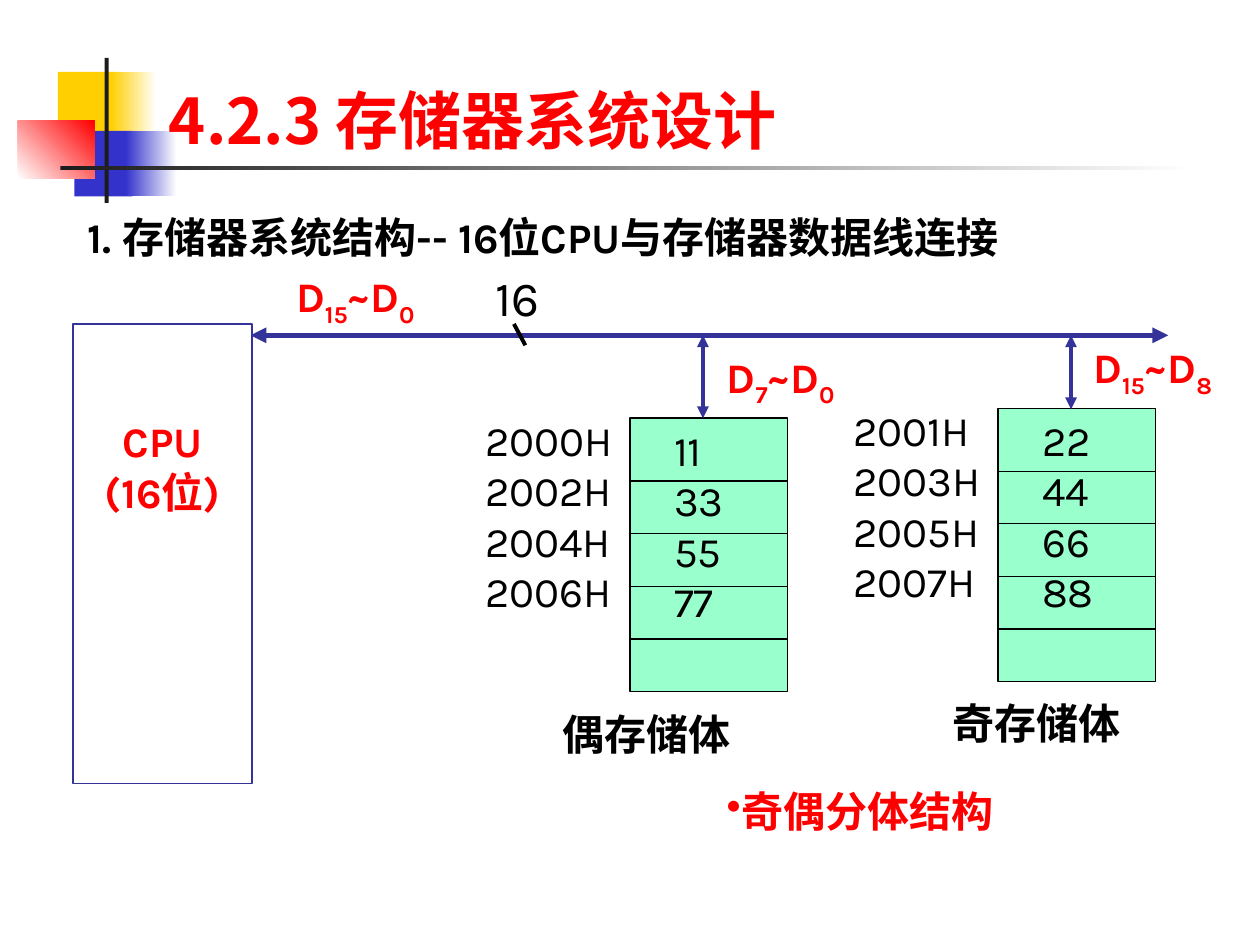
"""Build the slide on connecting a 16-bit CPU to odd and even memory banks."""
from lxml import etree
from pptx import Presentation, util as u
from pptx.dml.color import RGBColor
from pptx.enum import shapes, text
from pptx.oxml.ns import qn

COLORS = {
    "red": "FF0000", "black": "000000", "white": "FFFFFF", "yellow": "FFCF01",
    "blue": "3333CC", "ink": "1C1C1C", "navy": "333399", "mint": "99FFCC",
}
FONT, TITLE_FONT = "Karla", "Noto Sans CJK JP"

TITLE = "4.2.3 存储器系统设计"
DECORATIONS = [
    ((1.17, 1.45, 1.22, 1.32), ("yellow",), 0),
    ((2.24, 1.45, 0.91, 1.32), ("yellow", "white"), 0),
    ((1.5, 2.64, 1.17, 1.32), ("blue",), 0),
    ((2.54, 2.64, 1.02, 1.32), ("blue", "white"), 0),
    ((0.36, 2.44, 1.55, 1.17), ("white", "red"), 45),
    ((2.11, 1.17, 0.08, 2.92), ("ink",), 0),
    ((1.22, 3.35, 22.86, 0.08), ("ink", "white"), 0),
]
BANKS = [
    ((12.7, 8.43), ["2000H", "2002H", "2004H", "2006H"], ["11", "33", "55", "77"]),
    ((20.12, 8.23), ["2001H", "2003H", "2005H", "2007H"], ["22", "44", "66", "88"]),
]
BANK_WIDTH, FIRST_ROW, ROW, ROWS = 3.17, 1.27, 1.06, 5
LABELS = [
    ("偶存储体", (11.1, 14.15, 5.92, 1.27), 24, "black", True),
    ("奇存储体", (18.95, 13.94, 5.51, 1.12), 24, "black", True),
    ("16", (9.73, 5.26, 1.9, 1.45), 28, "black", False),
    ("1. 存储器系统结构-- 16位CPU与存储器数据线连接",
     (1.52, 4.14, 21.82, 1.27), 24, "black", True),
]
BUS_LABELS = [
    (("7", "0"), (14.4, 6.96, 2.74, 1.27)),
    (("15", "8"), (21.79, 6.76, 3.02, 1.27)),
    (("15", "0"), (5.72, 5.33, 3.02, 1.27)),
]
LINES = [
    ((5.05, 6.76, 23.55, 6.76), "navy", 3, True),
    ((14.17, 6.76, 14.17, 8.43), "navy", 2.25, True),
    ((21.59, 6.76, 21.59, 8.25), "navy", 2.25, True),
    ((10.36, 6.53, 10.59, 6.96), "black", 2.25, False),
]


def rgb(name):
    return RGBColor.from_string(COLORS[name])


def lengths(values):
    return [u.Cm(value) for value in values]


def style(font, size, color, bold, name=FONT):
    font.name, font.size, font.bold = name, u.Pt(size), bold
    font.color.rgb = rgb(color)


def add_block(page, place, fills, angle=0, outline=None):
    block = page.shapes.add_shape(shapes.MSO_SHAPE.RECTANGLE, *lengths(place))
    block.shadow.inherit = False
    if len(fills) == 1:
        block.fill.solid()
        block.fill.fore_color.rgb = rgb(fills[0])
    else:
        block.fill.gradient()
        block.fill.gradient_angle = angle
        for stop, color, position in zip(block.fill.gradient_stops, fills, (0, 1)):
            stop.color.rgb = rgb(color)
            stop.position = position
    if outline:
        block.line.color.rgb = rgb(outline)
        block.line.width = u.Pt(0.75)
    else:
        block.line.fill.background()
    return block


def write(frame, lines, size, color, bold, align=text.PP_ALIGN.LEFT):
    for index, line in enumerate(lines):
        para = frame.add_paragraph() if index else frame.paragraphs[0]
        para.add_run().text = line
        para.alignment = align
        style(para.font, size, color, bold)


def add_text(page, place, lines, size=24, color="black", bold=False):
    box = page.shapes.add_textbox(*lengths(place))
    box.text_frame.word_wrap = True
    write(box.text_frame, lines, size, color, bold)
    return box


def add_line(page, ends, color="black", width=0.75, arrows=False):
    line = page.shapes.add_connector(shapes.MSO_CONNECTOR.STRAIGHT, *lengths(ends))
    line.line.color.rgb = rgb(color)
    line.line.width = u.Pt(width)
    if arrows:
        for end in ("a:headEnd", "a:tailEnd"):
            etree.SubElement(line.line._get_or_add_ln(), qn(end), type="triangle")
    etree.SubElement(line._element.spPr, qn("a:effectLst"))


def add_bank(page, corner, addresses, values):
    left, top = corner
    height = FIRST_ROW + (ROWS - 1) * ROW
    add_block(page, (left, top, BANK_WIDTH, height), ("mint",), outline="black")
    for row in range(ROWS):
        level = top + FIRST_ROW + row * ROW
        add_line(page, (left, level, left + BANK_WIDTH, level))
    add_text(page, (left + 0.64, top, 1.9, 4.32), values)
    add_text(page, (left - 3.17, top - 0.2, 4.45, 4.32), addresses)


def add_bus_label(page, subscripts, place):
    box = page.shapes.add_textbox(*lengths(place))
    box.text_frame.word_wrap = False
    para = box.text_frame.paragraphs[0]
    for letter, subscript in zip(("D", "~D"), subscripts):
        para.add_run().text = letter
        span = para.add_run()
        span.text = subscript
        span._r.get_or_add_rPr().set("baseline", "-25000")
    style(para.font, 24, "red", True)


def add_cpu(page):
    cpu = add_block(page, (1.47, 6.53, 3.61, 9.27), ("white",), outline="navy")
    cpu.text_frame.vertical_anchor = text.MSO_ANCHOR.TOP
    cpu.text_frame.margin_top = u.Cm(1.85)
    write(cpu.text_frame, ["CPU", "(16位)"], 24, "red", True, text.PP_ALIGN.CENTER)


def add_conclusion(page):
    box = page.shapes.add_textbox(*lengths((14.4, 15.72, 6.99, 1.27)))
    box.text_frame.word_wrap = True
    para = box.text_frame.paragraphs[0]
    para.add_run().text = "奇偶分体结构"
    properties = para._p.get_or_add_pPr()
    properties.set("marL", "0")
    properties.set("indent", "0")
    etree.SubElement(properties, qn("a:buChar"), char="•")
    style(para.font, 24, "red", True)


def place_title(page):
    title = page.shapes.title
    title.left, title.top, title.width, title.height = lengths((3.15, 1.4, 16.86, 2.01))
    title.text_frame.word_wrap = False
    title.text_frame.vertical_anchor = text.MSO_ANCHOR.MIDDLE
    write(title.text_frame, [TITLE], 36, "red", True)
    title.text_frame.paragraphs[0].font.name = TITLE_FONT
    title._element.getparent().append(title._element)


def main():
    deck = Presentation()
    deck.slide_width, deck.slide_height = lengths((25.4, 19.05))
    page = deck.slides.add_slide(deck.slide_layouts[5])
    for place, fills, angle in DECORATIONS:
        add_block(page, place, fills, angle)
    add_conclusion(page)
    for bank in BANKS:
        add_bank(page, *bank)
    for words, place, size, color, bold in LABELS:
        add_text(page, place, [words], size, color, bold)
    for line in LINES:
        add_line(page, *line)
    for label in BUS_LABELS:
        add_bus_label(page, *label)
    add_cpu(page)
    place_title(page)
    deck.save("out.pptx")


if __name__ == "__main__":
    main()
